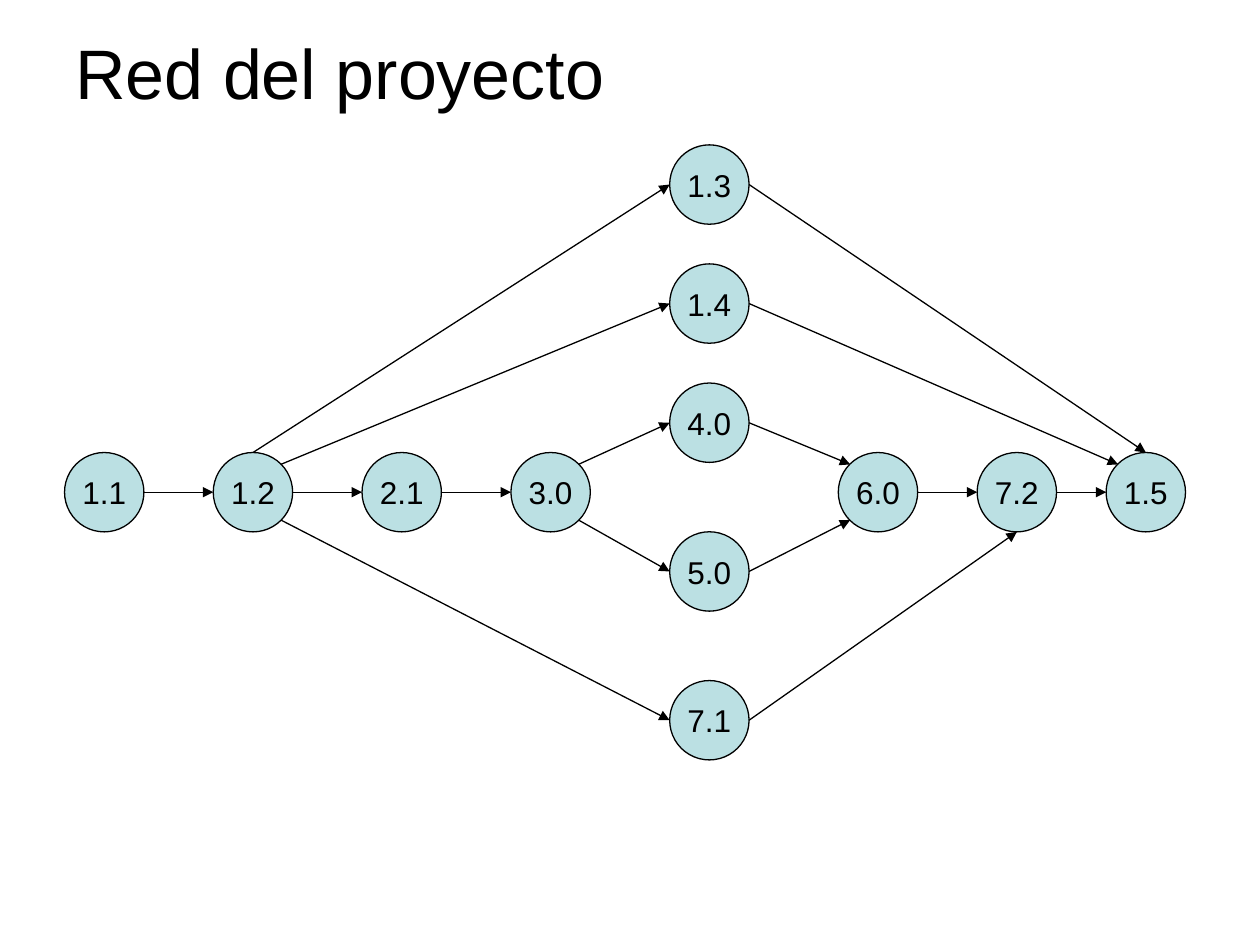
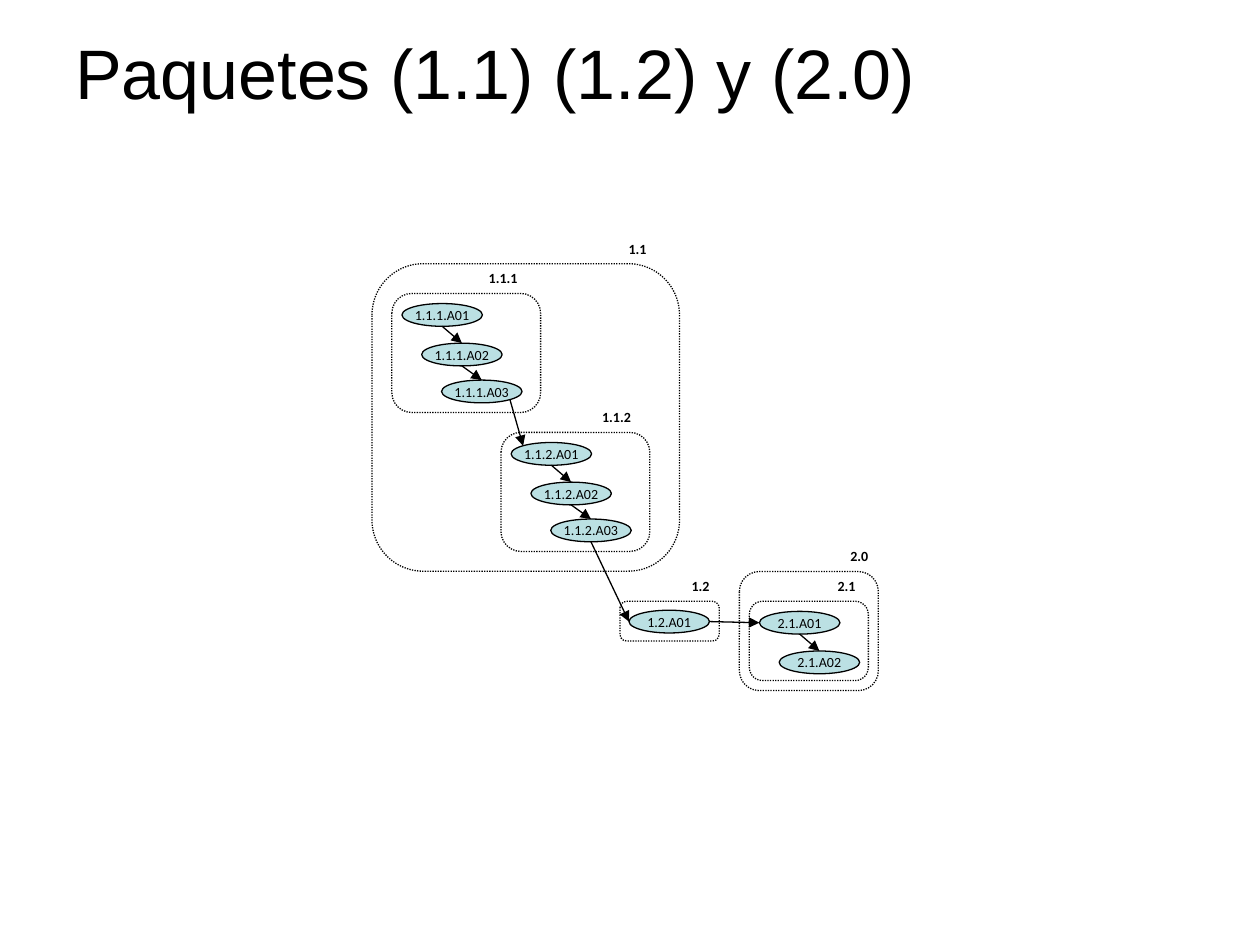
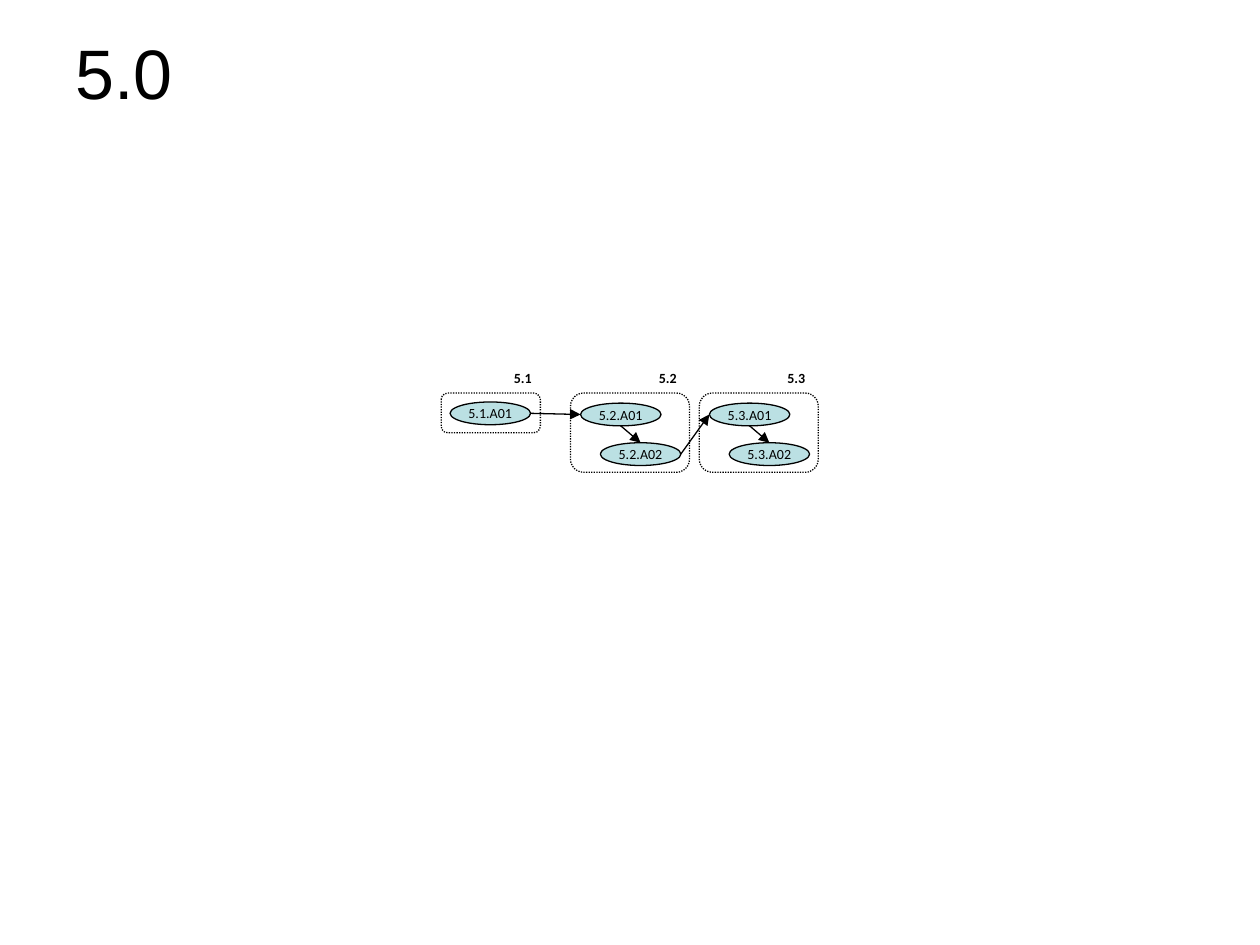
from lxml.etree import SubElement
from pptx import Presentation
from pptx.dml.color import RGBColor
from pptx.enum.dml import MSO_LINE
from pptx.enum.shapes import MSO_CONNECTOR, MSO_SHAPE
from pptx.enum.text import MSO_ANCHOR, MSO_AUTO_SIZE, PP_ALIGN
from pptx.oxml.ns import qn
from pptx.util import Pt

COLORS = {"ink": "000000", "node": "BBE0E3", "paper": "FFFFFF"}
LINE_WIDTH = Pt(0.74)

CENTERED = {"vertical_anchor": MSO_ANCHOR.MIDDLE, "word_wrap": False}
STYLES = {
    "title": {
        "frame": {"vertical_anchor": MSO_ANCHOR.MIDDLE, "word_wrap": True},
        "para": {"alignment": PP_ALIGN.LEFT},
        "font": {"name": "Arial", "size": Pt(40)},
    },
    "label": {
        "frame": {"word_wrap": False, "auto_size": MSO_AUTO_SIZE.SHAPE_TO_FIT_TEXT},
        "para": {"alignment": PP_ALIGN.LEFT},
        "font": {"name": "Calibri", "size": Pt(8), "bold": True},
    },
    "circle": {
        "preset": MSO_SHAPE.OVAL,
        "fill": "node",
        "frame": CENTERED,
        "para": {"alignment": PP_ALIGN.CENTER},
        "font": {"name": "Arial", "size": Pt(18)},
    },
    "activity": {
        "preset": MSO_SHAPE.OVAL,
        "fill": "node",
        "frame": CENTERED,
        "para": {"alignment": PP_ALIGN.CENTER},
        "font": {"name": "Calibri", "size": Pt(8)},
    },
    "package": {
        "preset": MSO_SHAPE.FLOWCHART_ALTERNATE_PROCESS,
        "dash": MSO_LINE.ROUND_DOT,
    },
}

# Points on the rim of an ellipse, as fractions of its width and height
RIM = {
    "N": (0.5, 0), "NE": (0.85, 0.15), "E": (1, 0.5), "SE": (0.85, 0.85),
    "S": (0.5, 1), "SW": (0.15, 0.85), "W": (0, 0.5), "NW": (0.15, 0.15),
}


def add_box(page, style_name, left, top, width, height, text=""):
    """Add a shape or a text box in a named style; lengths are in points."""
    style = STYLES[style_name]
    place = [Pt(length) for length in (left, top, width, height)]
    if "preset" in style:
        box = page.shapes.add_shape(style["preset"], *place)
        box.shadow.inherit = False
        box.line.width = LINE_WIDTH
        box.line.color.rgb = RGBColor.from_string(COLORS["ink"])
        if "dash" in style:
            box.line.dash_style = style["dash"]
        if "fill" in style:
            box.fill.solid()
            box.fill.fore_color.rgb = RGBColor.from_string(COLORS[style["fill"]])
        else:
            box.fill.background()
    else:
        box = page.shapes.add_textbox(*place)
    if text:
        para = box.text_frame.paragraphs[0]
        span = para.add_run()
        span.text = text
        span.font.color.rgb = RGBColor.from_string(COLORS["ink"])
        targets = {"frame": box.text_frame, "para": para, "font": span.font}
        for part, target in targets.items():
            for name, value in style[part].items():
                setattr(target, name, value)
    return box


def add_arrow(page, nodes, start, start_side, end, end_side):
    """Draw an arrow between rim points of two named nodes."""
    ends = []
    for name, side in ((start, start_side), (end, end_side)):
        node, (across, down) = nodes[name], RIM[side]
        ends += [int(node.left + across * node.width), int(node.top + down * node.height)]
    arrow = page.shapes.add_connector(MSO_CONNECTOR.STRAIGHT, *ends)
    arrow.line.width = LINE_WIDTH
    arrow.line.color.rgb = RGBColor.from_string(COLORS["ink"])
    SubElement(arrow.line._get_or_add_ln(), qn("a:tailEnd"), type="triangle")
    SubElement(arrow._element.spPr, qn("a:effectLst"))


deck = Presentation()
deck.slide_width, deck.slide_height = Pt(720), Pt(540)

pages = []
for title in ("Red del proyecto", "Paquetes (1.1) (1.2) y (2.0)", "5.0"):
    page = deck.slides.add_slide(deck.slide_layouts[6])
    page.background.fill.solid()
    page.background.fill.fore_color.rgb = RGBColor.from_string(COLORS["paper"])
    add_box(page, "title", 36, 21.6, 648, 38.9, title)
    pages.append(page)

# Project network: one main row and one column of parallel work
DIAMETER = 45.35
MAIN_ROW, MIDDLE_COLUMN = 258.6, 382.7
main_row = {"1.1": 36.9, "1.2": 121.9, "2.1": 206.9, "3.0": 292,
            "6.0": 479.05, "7.2": 558.4, "1.5": 632.1}
middle_column = {"1.3": 82.8, "1.4": 150.8, "4.0": 218.9, "5.0": 303.9, "7.1": 388.9}
places = {name: (left, MAIN_ROW) for name, left in main_row.items()}
places.update({name: (MIDDLE_COLUMN, top) for name, top in middle_column.items()})

network = pages[0]
nodes = {
    name: add_box(network, "circle", left, top, DIAMETER, DIAMETER, name)
    for name, (left, top) in places.items()
}
for link in (
    ("1.1", "E", "1.2", "W"), ("1.2", "E", "2.1", "W"), ("2.1", "E", "3.0", "W"),
    ("6.0", "E", "7.2", "W"), ("7.2", "E", "1.5", "W"),
    ("1.2", "N", "1.3", "W"), ("1.2", "NE", "1.4", "W"), ("1.2", "SE", "7.1", "W"),
    ("3.0", "NE", "4.0", "W"), ("3.0", "SE", "5.0", "W"),
    ("4.0", "E", "6.0", "NW"), ("5.0", "E", "6.0", "SW"),
    ("1.4", "E", "1.5", "NW"), ("1.3", "E", "1.5", "N"), ("7.1", "E", "7.2", "S"),
):
    add_arrow(network, nodes, *link)

# Work packages: the frame size follows from the number of activities
ACTIVITY_WIDTH, ACTIVITY_HEIGHT = 46, 13
LABEL_HEIGHT, LABEL_RISE = 16.6, 17
FRAME_SIZES = {1: (56.7, 22.7), 2: (68, 45.35), 3: (85, 68)}
FIRST_INSET = {1: 5.1, 2: 5.75, 3: 5.75}
STEPS = ((0, 0), (11.3, 22.65), (22.65, 43.75))

# Each diagram: outer frames (name, left, top, width, height, label left),
# packages (name, left, top, activities, label left) and links between packages
diagrams = (
    (
        pages[1],
        (("1.1", 212.6, 150.7, 175.75, 175.75, 352.1),
         ("2.0", 422.5, 326.6, 79.4, 68, 478.8)),
        (("1.1.1", 223.9, 167.7, 3, 272.2), ("1.1.2", 286.3, 247.1, 3, 337),
         ("1.2", 354.3, 343.6, 1, 388.1), ("2.1", 428.2, 343.6, 2, 471.6)),
        (("1.1.1.A03", "SE", "1.1.2.A01", "NW"), ("1.1.2.A03", "S", "1.2.A01", "W"),
         ("1.2.A01", "E", "2.1.A01", "W")),
    ),
    (
        pages[2],
        (),
        (("5.1", 252.1, 224.6, 1, 286.6), ("5.2", 326, 224.6, 2, 369.4),
         ("5.3", 399.6, 224.6, 2, 442.8)),
        (("5.1.A01", "E", "5.2.A01", "W"), ("5.2.A02", "E", "5.3.A01", "W")),
    ),
)

for page, outer_frames, packages, links in diagrams:
    frames = list(outer_frames)
    for name, left, top, count, label_left in packages:
        frames.append((name, left, top, *FRAME_SIZES[count], label_left))
    for name, left, top, width, height, label_left in frames:
        add_box(page, "package", left, top, width, height)
        label_width = 31 if len(name) > 3 else 24.5
        add_box(page, "label", label_left, top - LABEL_RISE, label_width, LABEL_HEIGHT, name)

    activities, all_links = {}, list(links)
    for package, left, top, count, _ in packages:
        names = [f"{package}.A{number:02d}" for number in range(1, count + 1)]
        inset = FIRST_INSET[count]
        for name, (right, down) in zip(names, STEPS):
            activities[name] = add_box(page, "activity", left + inset + right,
                                       top + inset + down, ACTIVITY_WIDTH, ACTIVITY_HEIGHT, name)
        all_links += [(before, "S", after, "N") for before, after in zip(names, names[1:])]
    for link in all_links:
        add_arrow(page, activities, *link)

deck.save("out.pptx")
